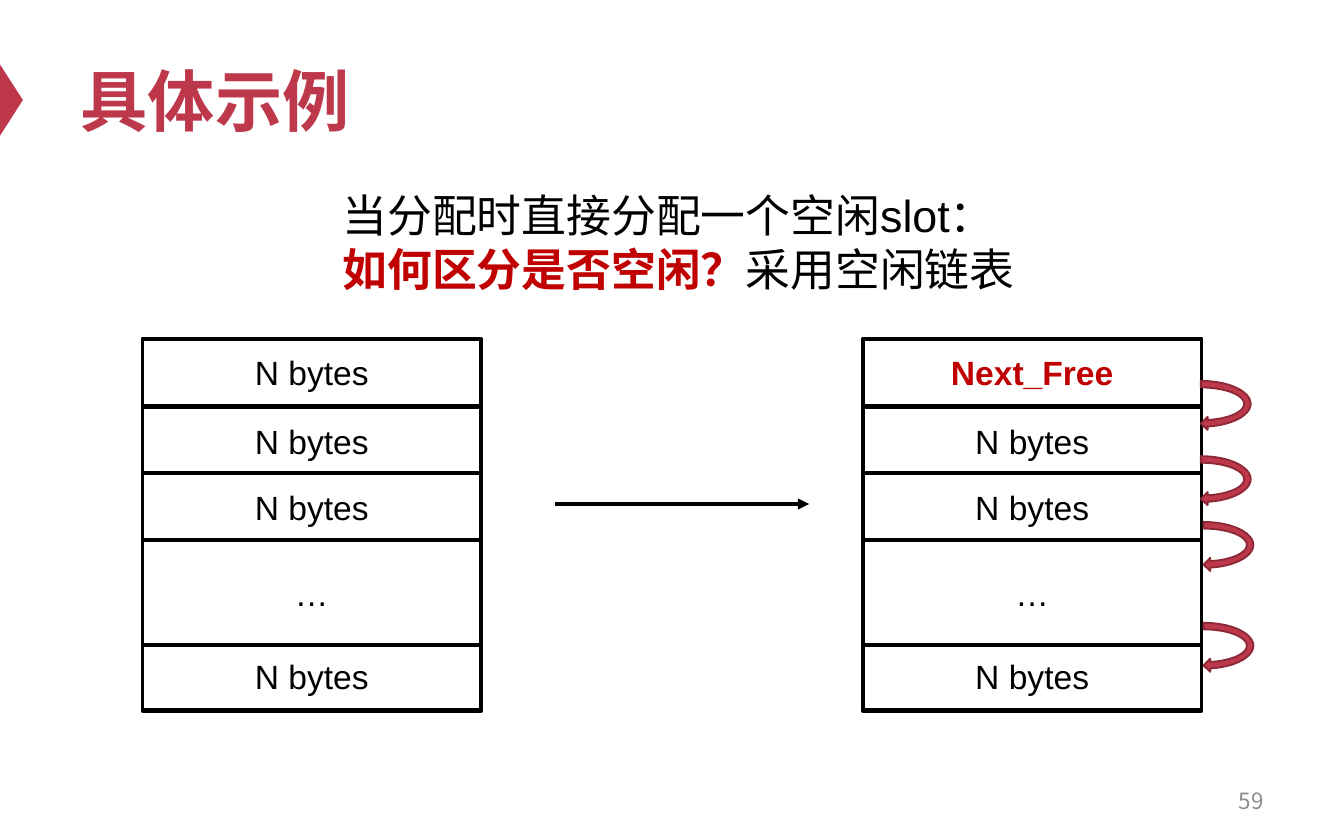
import pptx
import pptx.dml.color
import pptx.enum.dml
import pptx.enum.shapes
import pptx.enum.text
import pptx.oxml.ns
import pptx.util
from lxml import etree

Inches = pptx.util.Inches
Pt = pptx.util.Pt
ShapeType = pptx.enum.shapes.MSO_SHAPE
Align = pptx.enum.text.PP_ALIGN
Anchor = pptx.enum.text.MSO_ANCHOR

COLORS = {
    "accent": "BE384B",
    "accent_dark": "8D2937",
    "highlight": "C00000",
    "black": "000000",
    "white": "FFFFFF",
    "gray": "8C8C8C",
}
EAST_ASIAN_FONT = "Noto Sans CJK SC"
LIST_TOP = 2.52
LIST_WIDTH = 2.52
SLOT_HEIGHT = 0.5
SLOT_TOPS = [2.52, 3.03, 3.52, 4.78]


def rgb(name):
    return pptx.dml.color.RGBColor.from_string(COLORS[name])


def add_run(paragraph, text, size, color="black", bold=False, name="Arial"):
    run = paragraph.add_run()
    run.text = text
    formats = {"size": Pt(size), "bold": bold, "name": name}
    for attribute, value in formats.items():
        setattr(run.font, attribute, value)
    run.font.color.rgb = rgb(color)
    east_asian = etree.SubElement(run.font._element, pptx.oxml.ns.qn("a:ea"))
    east_asian.set("typeface", EAST_ASIAN_FONT)


def add_filled_shape(slide, kind, box, fill, line=None, line_width=2, rotation=0):
    shape = slide.shapes.add_shape(kind, *map(Inches, box))
    shape.shadow.inherit = False
    shape.rotation = rotation
    shape.fill.solid()
    shape.fill.fore_color.rgb = rgb(fill)
    if line:
        shape.line.color.rgb = rgb(line)
        shape.line.width = Pt(line_width)
    else:
        shape.line.fill.background()
    return shape


def add_text_box(slide, box, wrap, anchor=Anchor.TOP):
    frame = slide.shapes.add_textbox(*map(Inches, box)).text_frame
    frame.word_wrap = wrap
    frame.vertical_anchor = anchor
    return frame


def format_title(slide, text):
    title = slide.shapes.title
    box = {"left": 0.5, "top": 0.25, "width": 9, "height": 0.98}
    for attribute, value in box.items():
        setattr(title, attribute, Inches(value))
    title.text_frame.vertical_anchor = Anchor.MIDDLE
    paragraph = title.text_frame.paragraphs[0]
    paragraph.alignment = Align.LEFT
    add_run(paragraph, text, 36, "accent", True)


def add_question(slide):
    frame = add_text_box(slide, (2.45, 1.35, 5.25, 0.91), False)
    frame.auto_size = pptx.enum.text.MSO_AUTO_SIZE.SHAPE_TO_FIT_TEXT
    add_run(frame.paragraphs[0], "当分配时直接分配一个空闲slot：", 24)
    paragraph = frame.add_paragraph()
    add_run(paragraph, "如何区分是否空闲？", 24, "highlight", True)
    add_run(paragraph, "采用空闲链表", 24)


def add_slot(slide, left, top, text, height=SLOT_HEIGHT, **font):
    slot = add_filled_shape(slide, ShapeType.RECTANGLE,
                            (left, top, LIST_WIDTH, height), "white", "black")
    slot.text_frame.vertical_anchor = Anchor.MIDDLE
    paragraph = slot.text_frame.paragraphs[0]
    paragraph.alignment = Align.CENTER
    add_run(paragraph, text, 18, **font)


def add_slot_list(slide, left, first_text="N bytes", **first_font):
    """Draw a framed column of slots, with the elided part on top of its neighbours."""
    add_filled_shape(slide, ShapeType.RECTANGLE,
                     (left, LIST_TOP + 0.01, LIST_WIDTH, 2.76), "white", "black")
    add_slot(slide, left, SLOT_TOPS[0], first_text, **first_font)
    for top in SLOT_TOPS[1:]:
        add_slot(slide, left, top, "N bytes")
    add_slot(slide, left, 4.02, "…", height=0.78)


def add_arrow(slide, start, end):
    connector = slide.shapes.add_connector(
        pptx.enum.shapes.MSO_CONNECTOR.STRAIGHT, *map(Inches, start + end))
    connector.line.color.rgb = rgb("black")
    connector.line.width = Pt(2)
    line = connector.line._get_or_add_ln()
    etree.SubElement(line, pptx.oxml.ns.qn("a:tailEnd")).set("type", "triangle")
    etree.SubElement(connector._element.spPr, pptx.oxml.ns.qn("a:effectLst"))


def add_next_links(slide):
    for left, top in [(8.74, 2.61), (8.74, 3.17), (8.76, 4.41), (8.76, 3.66)]:
        add_filled_shape(slide, ShapeType.CIRCULAR_ARROW, (left, top, 0.39, 0.79),
                         "accent", "accent_dark", 1, rotation=90)


def add_page_number(slide, number):
    frame = add_text_box(slide, (7.17, 5.79, 2.33, 0.33), True, Anchor.MIDDLE)
    paragraph = frame.paragraphs[0]
    paragraph.alignment = Align.RIGHT
    add_run(paragraph, number, 12, "gray", name=EAST_ASIAN_FONT)


def main():
    presentation = pptx.Presentation()
    presentation.slide_width = Inches(10)
    presentation.slide_height = Inches(6.25)
    slide = presentation.slides.add_slide(presentation.slide_layouts[5])
    add_filled_shape(slide, ShapeType.ISOSCELES_TRIANGLE,
                     (-0.18, 0.66, 0.53, 0.17), "accent", rotation=90)
    format_title(slide, "具体示例")
    add_page_number(slide, "59")
    add_question(slide)
    add_arrow(slide, (4.13, 3.75), (6.02, 3.75))
    add_slot_list(slide, 6.42, "Next_Free", color="highlight", bold=True)
    add_slot_list(slide, 1.06)
    add_next_links(slide)
    presentation.save("out.pptx")


if __name__ == "__main__":
    main()
